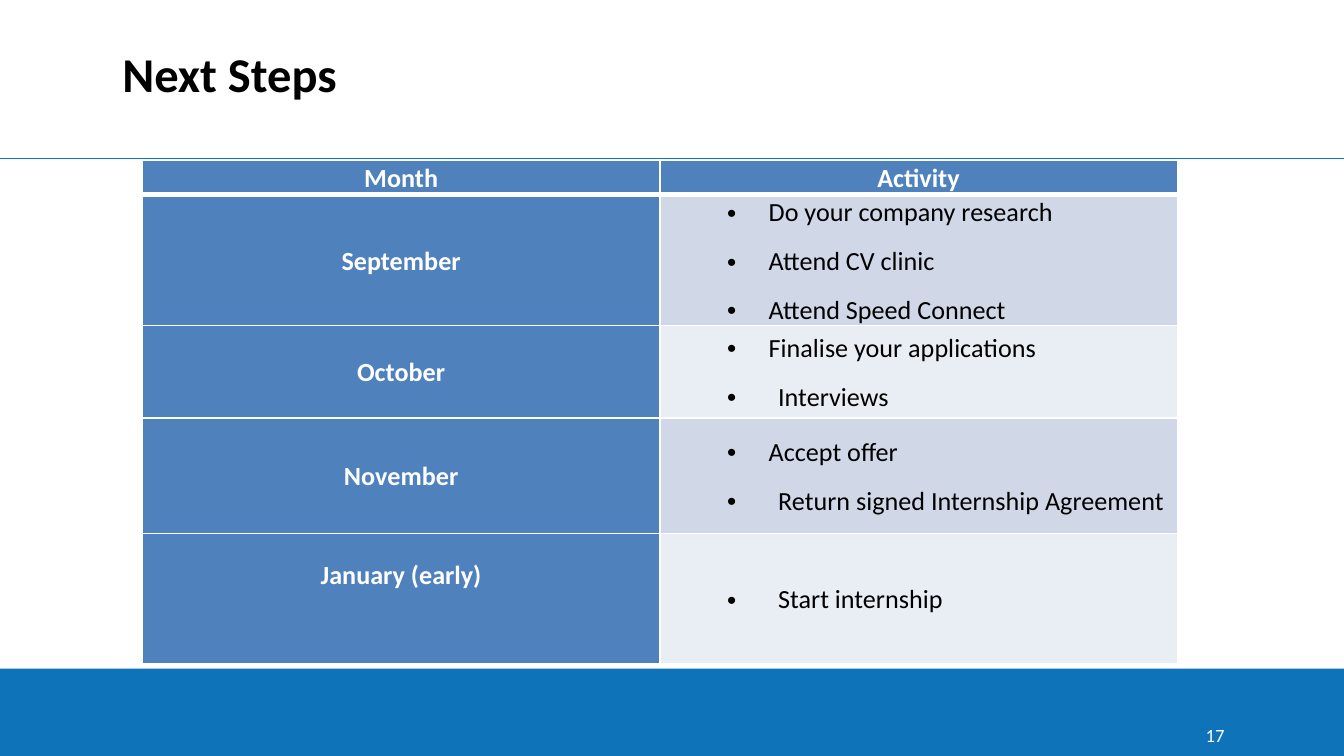
import pptx
import pptx.util
import pptx.dml.color
import pptx.enum.shapes
import pptx.enum.text
import pptx.oxml
import pptx.oxml.ns

Inches = pptx.util.Inches
Pt = pptx.util.Pt
ALIGN = pptx.enum.text.PP_ALIGN
ANCHOR = pptx.enum.text.MSO_ANCHOR

SLIDE_WIDTH = 10
SLIDE_HEIGHT = SLIDE_WIDTH * 9 / 16
FONT = "Calibri"
COLORS = {
    "brand": "0E73B9",
    "header": "4F81BD",
    "odd": "D0D8E8",
    "even": "E9EDF4",
    "white": "FFFFFF",
    "black": "000000",
}
NARROW, WIDE = (0.81, 0.31), (0.88, 0.38)
HEADINGS = ["Month", "Activity"]
STEPS = [
    ("September", [("Do your company research", NARROW),
                   ("Attend CV clinic", NARROW),
                   ("Attend Speed Connect", NARROW)]),
    ("October", [("Finalise your applications", NARROW), ("Interviews", WIDE)]),
    ("November", [("Accept offer", NARROW),
                  ("Return signed Internship Agreement", WIDE)]),
    ("January (early)", [("Start internship", WIDE)]),
]
ROW_HEIGHTS = [0.26, 0.96, 0.69, 0.86, 0.97]


def color(name):
    return pptx.dml.color.RGBColor.from_string(COLORS[name])


def xml(tag, content="", attributes=""):
    return pptx.oxml.parse_xml(
        f'<a:{tag} {pptx.oxml.ns.nsdecls("a")} {attributes}>{content}</a:{tag}>')


def format_frame(frame, anchor):
    frame.word_wrap = True
    frame.vertical_anchor = anchor
    frame.margin_left = frame.margin_right = 0
    frame.margin_top = frame.margin_bottom = 0


def format_runs(paragraph, size, color_name, bold=False):
    for run in paragraph.runs:
        run.font.name = FONT
        run.font.size = Pt(size)
        run.font.bold = bold
        run.font.color.rgb = color(color_name)


def add_frame_lines(slide, left, top, width, height):
    rule_top = top + 1.18
    rule = slide.shapes.add_connector(
        pptx.enum.shapes.MSO_CONNECTOR.STRAIGHT,
        Inches(left), Inches(rule_top), Inches(left + width), Inches(rule_top))
    rule.line.color.rgb = color("brand")
    rule.line.width = Pt(0.75)
    rule._element.spPr.append(xml("effectLst"))

    band_height = 0.65
    band = slide.shapes.add_shape(
        pptx.enum.shapes.MSO_SHAPE.RECTANGLE,
        Inches(left), Inches(top + height - band_height), Inches(width), Inches(band_height))
    band.shadow.inherit = False
    band.fill.solid()
    band.fill.fore_color.rgb = color("brand")
    band.line.fill.background()


def add_title(slide, left, top, width, height):
    title = slide.shapes.title
    title.left, title.top = Inches(left), Inches(top)
    title.width, title.height = Inches(width), Inches(height)
    frame = title.text_frame
    frame.text = "Next Steps"
    format_frame(frame, ANCHOR.BOTTOM)
    frame.paragraphs[0].alignment = ALIGN.LEFT
    format_runs(frame.paragraphs[0], 26, "black", True)


def add_page_number(slide, left, top, width, height):
    box = slide.shapes.add_textbox(Inches(left), Inches(top), Inches(width), Inches(height))
    frame = box.text_frame
    frame.text = "17"
    format_frame(frame, ANCHOR.BOTTOM)
    frame.paragraphs[0].alignment = ALIGN.RIGHT
    format_runs(frame.paragraphs[0], 10, "white")


def format_cell(cell, fill_name, bottom_width=1):
    cell.vertical_anchor = ANCHOR.MIDDLE
    cell.margin_left = cell.margin_right = 0
    cell.margin_top = cell.margin_bottom = 0
    cell.fill.solid()
    cell.fill.fore_color.rgb = color(fill_name)
    properties = cell._tc.get_or_add_tcPr()
    sides = {"lnL": 1, "lnR": 1, "lnT": 1, "lnB": bottom_width}
    for index, (side, width) in enumerate(sides.items()):
        fill = f'<a:solidFill><a:srgbClr val="{COLORS["white"]}"/></a:solidFill>'
        properties.insert(index, xml(side, fill, f'w="{Pt(width)}"'))


def space_paragraph(paragraph):
    paragraph.line_spacing = 1.07
    paragraph.space_after = Pt(8)


def fill_heading_cell(cell, text, bottom_width=1):
    format_cell(cell, "header", bottom_width)
    cell.text_frame.text = text
    paragraph = cell.text_frame.paragraphs[0]
    paragraph.alignment = ALIGN.CENTER
    space_paragraph(paragraph)
    format_runs(paragraph, 14, "white", True)


def fill_activity_cell(cell, activities, fill_name):
    format_cell(cell, fill_name)
    frame = cell.text_frame
    frame.text = "\n".join(text for text, indent in activities)
    for paragraph, (text, (margin, hanging)) in zip(frame.paragraphs, activities):
        paragraph.level = 1
        space_paragraph(paragraph)
        properties = paragraph._p.get_or_add_pPr()
        properties.set("marL", str(Inches(margin)))
        properties.set("indent", str(-Inches(hanging)))
        properties.append(xml("buFont", attributes='typeface="Arial"'))
        properties.append(xml("buChar", attributes='char="•"'))
        format_runs(paragraph, 14, "black")


def add_steps_table(slide, left, top, width, height):
    table = slide.shapes.add_table(
        len(STEPS) + 1, len(HEADINGS),
        Inches(left), Inches(top), Inches(width), Inches(height)).table
    for column in table.columns:
        column.width = Inches(width / len(HEADINGS))
    for row, row_height in zip(table.rows, ROW_HEIGHTS):
        row.height = Inches(row_height)
    for index, heading in enumerate(HEADINGS):
        fill_heading_cell(table.cell(0, index), heading, bottom_width=3)
    for index, (month, activities) in enumerate(STEPS, start=1):
        fill_heading_cell(table.cell(index, 0), month)
        fill_activity_cell(table.cell(index, 1), activities, "odd" if index % 2 else "even")
    table.cell(len(STEPS), 0).margin_bottom = Inches(0.36)


def main():
    presentation = pptx.Presentation()
    presentation.slide_width = Inches(SLIDE_WIDTH)
    presentation.slide_height = Inches(SLIDE_HEIGHT)
    slide = presentation.slides.add_slide(presentation.slide_layouts[5])
    add_frame_lines(slide, 0, 0, SLIDE_WIDTH, SLIDE_HEIGHT)
    add_title(slide, 0.91, 0.3, 8.2, 0.46)
    add_page_number(slide, 8.79, 5.34, 0.32, 0.21)
    add_steps_table(slide, 1.06, 1.19, 7.7, sum(ROW_HEIGHTS))
    presentation.save("out.pptx")


if __name__ == "__main__":
    main()
